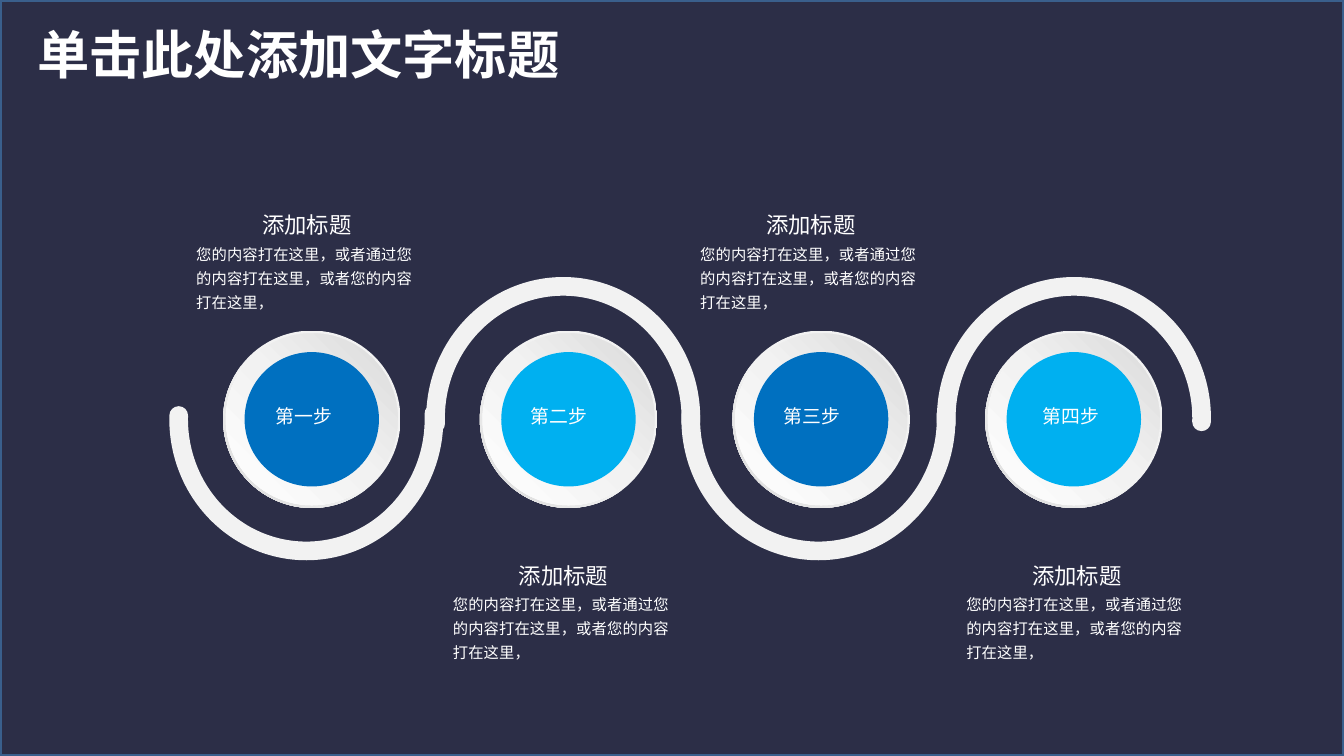
import pptx
import pptx.util
import pptx.dml.color
import pptx.enum.shapes
import pptx.enum.text
import pptx.oxml
import pptx.oxml.ns
from lxml import etree

Inches, Pt = pptx.util.Inches, pptx.util.Pt
SHAPE = pptx.enum.shapes.MSO_SHAPE
qn = pptx.oxml.ns.qn

# Content
TITLE = "单击此处添加文字标题"
HEADING = "添加标题"
BODY = "您的内容打在这里，或者通过您的内容打在这里，或者您的内容打在这里，"
# label, disc left, label left, caption left, caption top, disc colour
STEPS = [
    ("第一步", 1.66, 1.95, 1.39, 1.74, "blue"),
    ("第二步", 3.57, 3.85, 3.30, 4.35, "cyan"),
    ("第三步", 5.45, 5.73, 5.14, 1.74, "blue"),
    ("第四步", 7.33, 7.66, 7.12, 4.35, "cyan"),
]

COLORS = {
    "navy": "2C2E47", "border": "3A5F8C", "white": "FFFFFF",
    "light": "F2F2F2", "grey": "D9D9D9", "blue": "0070C0", "cyan": "00B0F0",
}
FONT = "Noto Sans CJK SC"
RIM_STOPS = [(0, "light"), (55, "light"), (100, "grey")]
RING_STOPS = [(0, "white"), (51, "light"), (100, "grey")]
SLIDE_WIDTH = 10
SLIDE_HEIGHT = SLIDE_WIDTH * 9 / 16
DISC_TOP = 2.46
WAVE_LEFT, WAVE_WIDTH, WAVE_HEIGHT = 1.33, 1.9, 1.96


def rgb(name):
    return pptx.dml.color.RGBColor.from_string(COLORS[name])


def add_shape(kind, left, top, width, height, fill=None):
    shape = slide.shapes.add_shape(
        kind, Inches(left), Inches(top), Inches(width), Inches(height))
    shape.shadow.inherit = False
    shape.line.fill.background()
    if fill:
        shape.fill.solid()
        shape.fill.fore_color.rgb = rgb(fill)
    else:
        shape.fill.background()
    return shape


def set_gradient(shape, stops, clockwise_angle):
    shape.fill.gradient()
    shape.fill.gradient_angle = 360 - clockwise_angle
    stop_list = shape._element.spPr.find(".//" + qn("a:gsLst"))
    for old_stop in list(stop_list):
        stop_list.remove(old_stop)
    for percent, color in stops:
        stop = etree.SubElement(stop_list, qn("a:gs"), pos=str(percent * 1000))
        etree.SubElement(stop, qn("a:srgbClr"), val=COLORS[color])


def add_text(text, left, top, width, height, size, spacing=None,
             insets=(0.1, 0.05), bold=False, wrap=True):
    box = slide.shapes.add_textbox(
        Inches(left), Inches(top), Inches(width), Inches(height))
    frame = box.text_frame
    frame.word_wrap = wrap
    frame.auto_size = pptx.enum.text.MSO_AUTO_SIZE.SHAPE_TO_FIT_TEXT
    frame.margin_left = frame.margin_right = Inches(insets[0])
    frame.margin_top = frame.margin_bottom = Inches(insets[1])
    paragraph = frame.paragraphs[0]
    paragraph.text = text
    if spacing:
        paragraph.line_spacing = spacing
    font = paragraph.font
    font.size, font.bold = Pt(size), bold
    font.color.rgb = rgb("white")
    font.name = FONT
    # East Asian typeface follows the Latin one
    latin = paragraph._p.find(".//" + qn("a:latin"))
    east_asian = pptx.oxml.parse_xml(
        '<a:ea xmlns:a="http://schemas.openxmlformats.org/drawingml/2006/main"'
        f' typeface="{FONT}"/>')
    latin.addnext(east_asian)


presentation = pptx.Presentation()
presentation.slide_width = Inches(SLIDE_WIDTH)
presentation.slide_height = Inches(SLIDE_HEIGHT)
slide = presentation.slides.add_slide(presentation.slide_layouts[6])

# Backdrop and title
slide.background.fill.solid()
slide.background.fill.fore_color.rgb = rgb("navy")
backdrop = add_shape(SHAPE.RECTANGLE, 0, 0, SLIDE_WIDTH, SLIDE_HEIGHT, "navy")
backdrop.line.color.rgb = rgb("border")
backdrop.line.width = Pt(2)
add_text(TITLE, 0.18, 0.12, 4.13, 0.57, 28, bold=True, wrap=False)

# Wave: half circles that turn down and up in alternation
for index in range(len(STEPS)):
    upward = index % 2
    arc = add_shape(SHAPE.ARC, WAVE_LEFT + index * WAVE_WIDTH + 0.01 * (index > 0),
                    2.13 if upward else 2.14, WAVE_WIDTH, WAVE_HEIGHT)
    arc.adjustments[0], arc.adjustments[1] = 214.5, 109
    arc.rotation = 180 * upward
    arc.line.color.rgb = rgb("light")
    arc.line.width = Pt(10)
    arc.line._ln.set("cap", "rnd")

# Steps: caption, ringed disc and label
for label, disc_left, label_left, caption_left, caption_top, color in STEPS:
    add_text(BODY, caption_left, caption_top, 1.83, 0.62, 8.25, 1.3, (0.07, 0.04))
    add_text(HEADING, caption_left + 0.49, caption_top - 0.27, 1.1, 0.3,
             12, 1.5, (0.07, 0))
    rim = add_shape(SHAPE.DONUT, disc_left, DISC_TOP, 1.32, 1.32)
    rim.adjustments[0] = 0.05
    set_gradient(rim, RIM_STOPS, 135)
    ring = add_shape(SHAPE.OVAL, disc_left + 0.02, DISC_TOP + 0.02, 1.28, 1.28)
    set_gradient(ring, RING_STOPS, 315)
    add_shape(SHAPE.OVAL, disc_left + 0.16, DISC_TOP + 0.16, 1, 1, color)
    add_text(label, label_left, DISC_TOP + 0.5, 0.75, 0.27, 10.13)

presentation.save("out.pptx")
